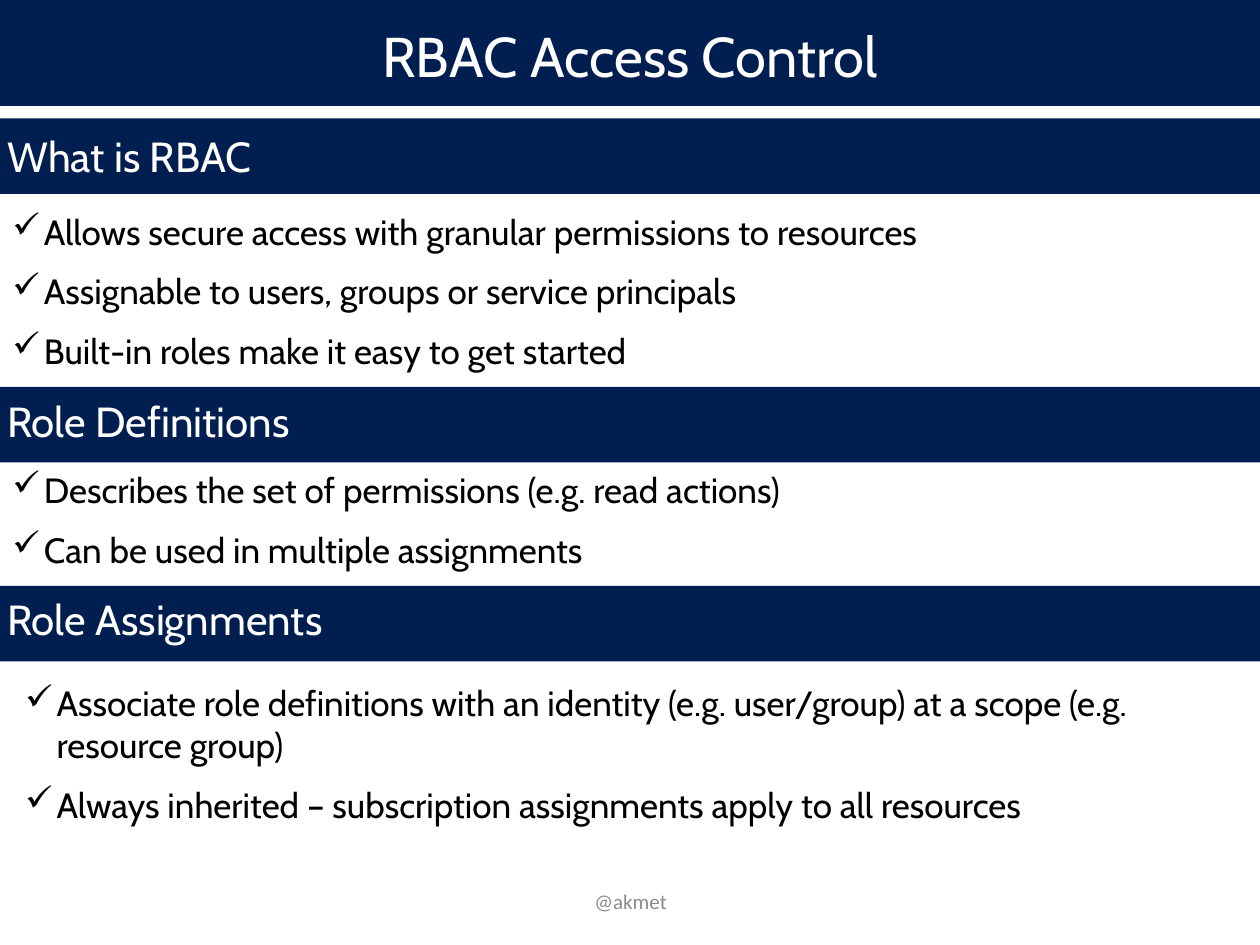
from dataclasses import dataclass
from lxml import etree
from pptx import Presentation
from pptx.dml.color import RGBColor
from pptx.enum import shapes, text
from pptx.oxml import ns
from pptx.util import Pt

PX = 9144  # 100 px to the inch


@dataclass(frozen=True)
class Theme:
    navy: str = "001F50"
    white: str = "FFFFFF"
    black: str = "000000"
    gray: str = "8C8C8C"
    font: str = "Cabin"
    plain: str = "Calibri"
    title: int = 32
    head: int = 24
    body: int = 20
    foot: int = 12


T = Theme()


def emu(*box):
    return [n * PX for n in box]


def bar(slide, box):
    rect = slide.shapes.add_shape(shapes.MSO_SHAPE.RECTANGLE, *emu(*box))
    rect.shadow.inherit = False
    rect.fill.solid()
    rect.fill.fore_color.rgb = RGBColor.from_string(T.navy)
    rect.line.fill.background()


def write(slide, box, lines, size, color, font=T.font, align="LEFT",
          **frame):
    """Add a text box with one paragraph a line; frame holds its settings."""
    body = slide.shapes.add_textbox(*emu(*box)).text_frame
    for key, val in {"word_wrap": True, **frame}.items():
        setattr(body, key, val)
    body.text = "\n".join(lines)
    for para in body.paragraphs:
        para.alignment = getattr(text.PP_ALIGN, align)
        look = {"size": Pt(size), "name": font}
        for key, val in look.items():
            setattr(para.runs[0].font, key, val)
        para.runs[0].font.color.rgb = RGBColor.from_string(color)
    return body


def title(slide, box, words):
    x, y, w, h = box
    bar(slide, box)
    write(slide, (x, y + 12, w, 64), [words], T.title, T.white,
          align="CENTER")


def header(slide, box, words, drop):
    x, y, w, h = box
    bar(slide, box)
    write(slide, (x - 4, y + drop, w - 4, 50), [words], T.head, T.white)


def points(slide, box, lines, level=0, **frame):
    """Add a list with check marks."""
    body = write(slide, box, lines, T.body, T.black, **frame)
    for para in body.paragraphs:
        para.level = level
        para.space_before = Pt(10)
        props = para._p.get_or_add_pPr()
        props.set("marL", str(25 * PX))
        props.set("indent", str(-25 * PX))
        mark = etree.SubElement(props, ns.qn("a:buChar"))
        mark.set("char", "✓")


def footer(slide, box, words):
    write(slide, box, [words], T.foot, T.gray, T.plain, "CENTER",
          vertical_anchor=text.MSO_ANCHOR.MIDDLE)


def main():
    deck = Presentation()
    deck.slide_width, deck.slide_height = emu(1000, 750)
    slide = deck.slides.add_slide(deck.slide_layouts[6])

    title(slide, (0, 0, 1000, 84), "RBAC Access Control")

    inset = dict(margin_left=20 * PX, margin_right=20 * PX,
                 margin_top=16 * PX, margin_bottom=16 * PX)
    # heading, bar top, text drop, list top, list height, lines, settings
    parts = [
        ("What is RBAC", 94, 5, 162, 126, [
            "Allows secure access with granular permissions to resources",
            "Assignable to users, groups or service principals",
            "Built-in roles make it easy to get started"], {}),
        ("Role Definitions", 307, 2, 367, 94, [
            "Describes the set of permissions (e.g. read actions)",
            "Can be used in multiple assignments"], {}),
        ("Role Assignments", 465, 1, 525, 225, [
            "Associate role definitions with an identity (e.g. user/group) "
            "at a scope (e.g. resource group)",
            "Always inherited – subscription assignments apply to all "
            "resources"], {"level": 1, **inset}),
    ]
    for words, y, drop, top, high, lines, look in parts:
        points(slide, (0, top, 1000, high), lines, **look)
        header(slide, (0, y, 1004, 60), words, drop)

    footer(slide, (342, 695, 317, 40), "@akmet")
    deck.save("out.pptx")


if __name__ == "__main__":
    main()
